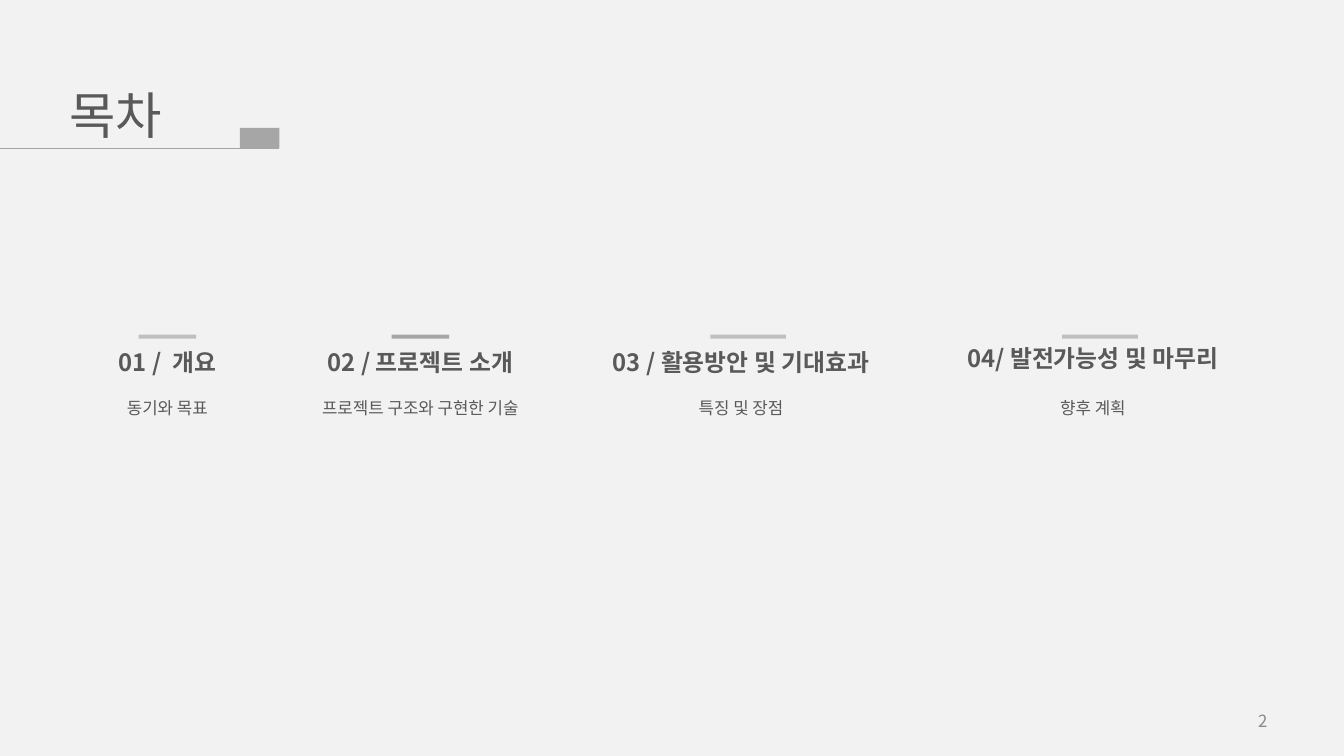
from lxml import etree
from pptx import Presentation
from pptx.dml.color import RGBColor
from pptx.enum.shapes import MSO_CONNECTOR, MSO_SHAPE
from pptx.enum.text import MSO_ANCHOR, MSO_AUTO_SIZE, PP_ALIGN
from pptx.oxml.ns import qn
from pptx.util import Inches, Pt

LEFT, CENTER, RIGHT = PP_ALIGN.LEFT, PP_ALIGN.CENTER, PP_ALIGN.RIGHT
TOP, MIDDLE = MSO_ANCHOR.TOP, MSO_ANCHOR.MIDDLE
RECTANGLE = MSO_SHAPE.RECTANGLE
STRAIGHT = MSO_CONNECTOR.STRAIGHT
NO_AUTOFIT = MSO_AUTO_SIZE.NONE

FONT = "Noto Sans CJK KR"
COLORS = {
    "background": "F2F2F2",
    "text": "595959",
    "accent": "A6A6A6",
    "bar": "BFBFBF",
    "number": "898989",
}

TITLE = "목차"
PAGE_NUMBER = "2"
# heading, subtitle, column centre, heading top, heading width,
# subtitle width, bar offset from the centre, bar width, bar colour
SECTIONS = [
    ("01 /  개요", "동기와 목표", 1.66, 3.4, 1.62, 1.54, 0, 0.57, "bar"),
    ("02 / 프로젝트 소개", "프로젝트 구조와 구현한 기술",
     4.17, 3.4, 2.97, 2.68, 0, 0.57, "accent"),
    ("03 / 활용방안 및 기대효과", "특징 및 장점",
     7.35, 3.4, 3.39, 2.68, 0.07, 0.75, "bar"),
    ("04/ 발전가능성 및 마무리", "향후 계획",
     10.84, 3.36, 3.6, 2.68, 0.07, 0.75, "bar"),
]
BAR_TOP, BAR_HEIGHT = 3.32, 0.04
SUBTITLE_TOP = 3.85
RULE_END, RULE_Y = 2.77, 1.47
TAB_WIDTH, TAB_HEIGHT = 0.39, 0.2


def rgb(color):
    return RGBColor.from_string(COLORS[color])


def write(shape, wording, size, color="text", bold=False, align=CENTER,
          anchor=TOP, inset=0.05):
    frame = shape.text_frame
    frame.word_wrap = True
    frame.auto_size = NO_AUTOFIT
    frame.vertical_anchor = anchor
    frame.margin_left = frame.margin_right = Inches(0.1)
    frame.margin_top = frame.margin_bottom = Inches(inset)
    paragraph = frame.paragraphs[0]
    paragraph.alignment = align
    run = paragraph.add_run()
    run.text = wording
    run.font.name = FONT
    run.font.size = Pt(size)
    run.font.bold = bold
    run.font.color.rgb = rgb(color)
    # Hangul takes the East Asian typeface, which font.name does not set
    east_asian = etree.SubElement(run.font._element, qn("a:ea"))
    east_asian.set("typeface", FONT)


def add_text(slide, left, top, width, height, wording, size, **style):
    box = slide.shapes.add_textbox(
        Inches(left), Inches(top), Inches(width), Inches(height))
    write(box, wording, size, **style)


def add_block(slide, left, top, width, height, color):
    block = slide.shapes.add_shape(
        RECTANGLE, Inches(left), Inches(top), Inches(width), Inches(height))
    block.shadow.inherit = False
    block.fill.solid()
    block.fill.fore_color.rgb = rgb(color)
    block.line.fill.background()


def add_title(slide):
    title = slide.shapes.title
    title.left, title.top = Inches(0.59), Inches(0.78)
    title.width, title.height = Inches(1.2), Inches(0.71)
    write(title, TITLE, 36, align=LEFT)

    rule = slide.shapes.add_connector(
        STRAIGHT, 0, Inches(RULE_Y), Inches(RULE_END), Inches(RULE_Y))
    rule.line.color.rgb = rgb("accent")
    rule.line.width = Pt(0.75)
    etree.SubElement(rule._element.spPr, qn("a:effectLst"))
    add_block(slide, RULE_END - TAB_WIDTH, RULE_Y - TAB_HEIGHT,
              TAB_WIDTH, TAB_HEIGHT, "accent")


def add_sections(slide):
    for (heading, subtitle, center, heading_top, heading_width,
         subtitle_width, bar_offset, bar_width, bar_color) in SECTIONS:
        add_text(slide, center - heading_width / 2, heading_top,
                 heading_width, 0.39, heading, 17, bold=True)
        add_block(slide, center + bar_offset - bar_width / 2, BAR_TOP,
                  bar_width, BAR_HEIGHT, bar_color)
        add_text(slide, center - subtitle_width / 2, SUBTITLE_TOP,
                 subtitle_width, 0.4, subtitle, 12, inset=0.1)


def main():
    deck = Presentation()
    deck.slide_width, deck.slide_height = Inches(13.33), Inches(7.5)
    slide = deck.slides.add_slide(deck.slide_layouts.get_by_name("Title Only"))
    slide.background.fill.solid()
    slide.background.fill.fore_color.rgb = rgb("background")
    add_title(slide)
    add_sections(slide)
    add_text(slide, 9.56, 6.95, 3.11, 0.4, PAGE_NUMBER, 12,
             color="number", align=RIGHT, anchor=MIDDLE)
    deck.save("out.pptx")


if __name__ == "__main__":
    main()
